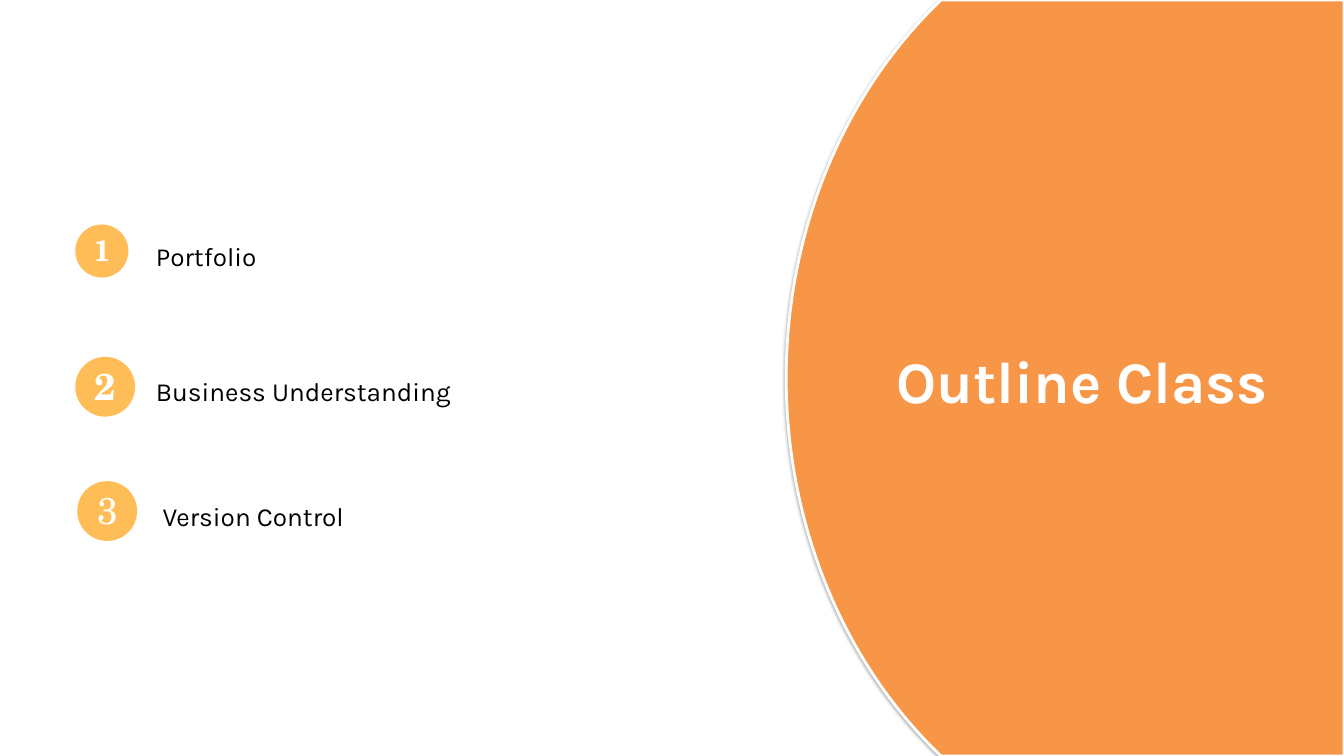
from math import asin, cos, sin

from lxml.etree import SubElement
from pptx import Presentation
from pptx.dml.color import RGBColor
from pptx.enum.shapes import MSO_SHAPE
from pptx.enum.text import MSO_ANCHOR, MSO_AUTO_SIZE, PP_ALIGN
from pptx.oxml.ns import qn
from pptx.util import Inches, Pt

COLORS = {"panel": "F79646", "badge": "FFBD58", "white": "FFFFFF", "black": "000000"}
COLUMNS, ROWS = 200, 112.5
ARC_STEPS = 120


def color(name):
    return RGBColor.from_string(COLORS[name])


def write(paragraph, text, font="Karla", size=28, fill="black", bold=False,
          align=PP_ALIGN.LEFT, line=1.0, before=0, left=0.01, indent=0):
    run = paragraph.add_run()
    run.text = text
    run.font.name, run.font.size, run.font.bold = font, Pt(size), bold
    run.font.color.rgb = color(fill)
    paragraph.alignment = align
    paragraph.line_spacing = line
    paragraph.space_before, paragraph.space_after = Pt(before), Pt(0)
    properties = paragraph._p.get_or_add_pPr()
    properties.set("marL", str(Inches(left)))
    properties.set("indent", str(Inches(indent)))
    SubElement(properties, qn("a:buNone"))


class OutlineSlide:
    def __init__(self, presentation):
        self.slide = presentation.slides.add_slide(presentation.slide_layouts[1])
        self.column = presentation.slide_width / COLUMNS
        self.row = presentation.slide_height / ROWS

    def box(self, left, top, width, height):
        return (round(left * self.column), round(top * self.row),
                round(width * self.column), round(height * self.row))

    def frame(self, shape, top=0, bottom=0, anchor=MSO_ANCHOR.TOP, wrap=True):
        frame = shape.text_frame
        frame.auto_size, frame.word_wrap = MSO_AUTO_SIZE.NONE, wrap
        frame.vertical_anchor = anchor
        frame.margin_left = frame.margin_right = 0
        frame.margin_top, frame.margin_bottom = Inches(top), Inches(bottom)
        return frame

    def placeholder(self, index, place, top):
        shape = self.slide.placeholders[index]
        shape.left, shape.top, shape.width, shape.height = self.box(*place)
        return self.frame(shape, top)

    def panel(self, left, radius_x, radius_y):
        limit = asin(ROWS / 2 / radius_y)
        angles = [limit * (1 - 2 * step / ARC_STEPS) for step in range(ARC_STEPS + 1)]
        arc = [((left + radius_x * (1 - cos(angle))) * self.column,
                (ROWS / 2 + radius_y * sin(angle)) * self.row) for angle in angles]
        right, bottom = COLUMNS * self.column, ROWS * self.row
        builder = self.slide.shapes.build_freeform(round(right), round(bottom))
        builder.add_line_segments([*arc, (right, 0)], close=True)
        shape = builder.convert_to_shape()
        shape.fill.solid()
        shape.fill.fore_color.rgb = color("panel")
        shape.line.color.rgb = color("white")
        shape.line.width = Pt(3)
        effects = SubElement(shape._element.spPr, qn("a:effectLst"))
        shadow = SubElement(effects, qn("a:outerShdw"), blurRad=str(Pt(3.1)),
                            dist=str(Pt(1.6)), dir="5400000", rotWithShape="0")
        tint = SubElement(shadow, qn("a:srgbClr"), val=COLORS["black"])
        SubElement(tint, qn("a:alpha"), val="38000")
        self.slide.shapes._spTree.insert(2, shape._element)

    def title(self, text, place):
        frame = self.placeholder(0, place, 0.06)
        write(frame.paragraphs[0], text, size=63, fill="white", bold=True,
              align=PP_ALIGN.CENTER, line=1.19, indent=0.33)

    def topics(self, items, place):
        frame = self.placeholder(1, place, 0.01)
        for number, (text, before, left) in enumerate(items):
            paragraph = frame.add_paragraph() if number else frame.paragraphs[0]
            write(paragraph, text, line=1.15, before=before, left=left)

    def badge(self, text, left, top, diameter, size, bold):
        shape = self.slide.shapes.add_shape(
            MSO_SHAPE.OVAL, *self.box(left, top, diameter, diameter))
        shape.shadow.inherit = False
        shape.fill.solid()
        shape.fill.fore_color.rgb = color("badge")
        shape.line.fill.background()
        frame = self.frame(shape, bottom=0.04, anchor=MSO_ANCHOR.MIDDLE, wrap=False)
        write(frame.paragraphs[0], text, font="TeX Gyre Schola", size=size,
              fill="white", bold=bold, align=PP_ALIGN.CENTER)


def main():
    presentation = Presentation()
    presentation.slide_width, presentation.slide_height = Inches(20), Inches(11.25)
    outline = OutlineSlide(presentation)
    outline.panel(117, 64.2, 73.3)
    outline.title("Outline Class", (128.1, 48.7, 62.5, 13.2))
    outline.topics([("Portfolio", 0, 0.01),
                    ("Business Understanding", 106, 0.01),
                    ("Version Control", 95, 0.11)], (23.1, 35, 70.8, 43.8))
    for badge in [("1", 11.2, 33.4, 7.9, 32, True),
                  ("2", 11.2, 53.1, 8.9, 40, True),
                  ("3", 11.5, 71.6, 8.9, 40, False)]:
        outline.badge(*badge)
    presentation.save("out.pptx")


if __name__ == "__main__":
    main()
